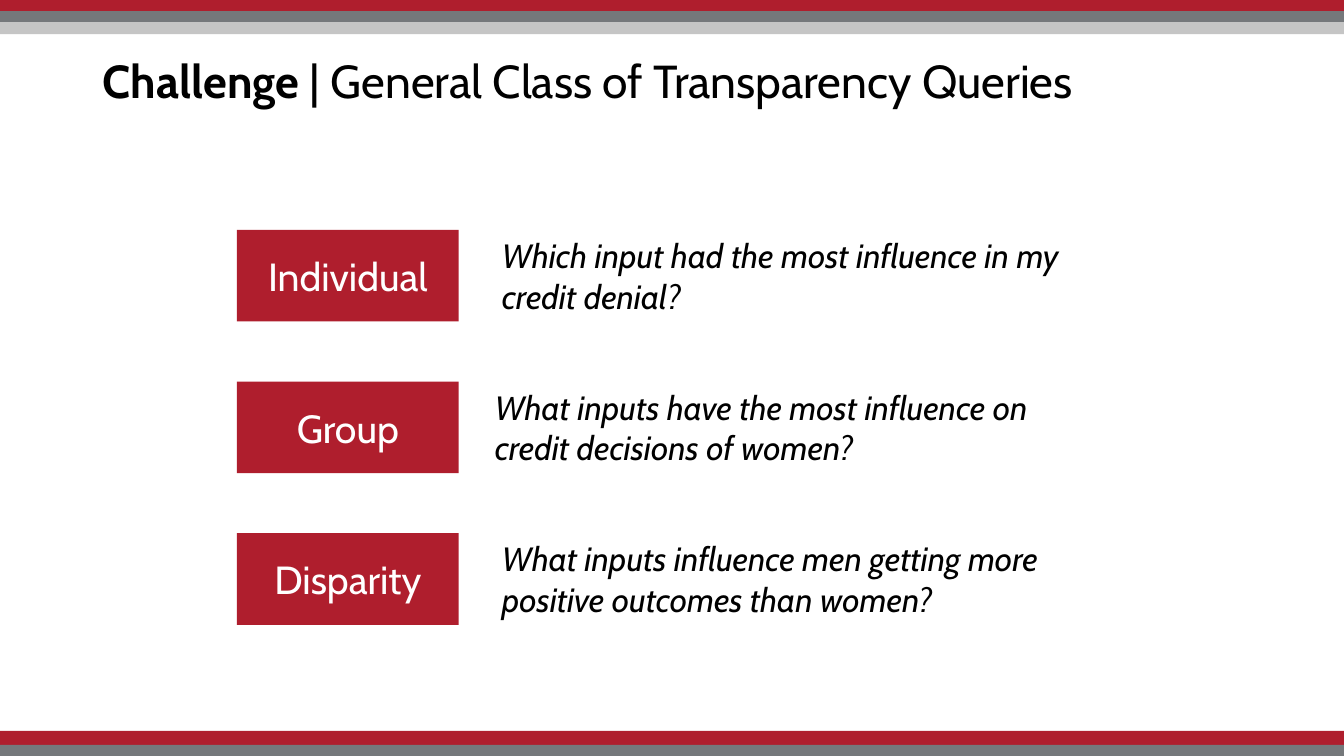
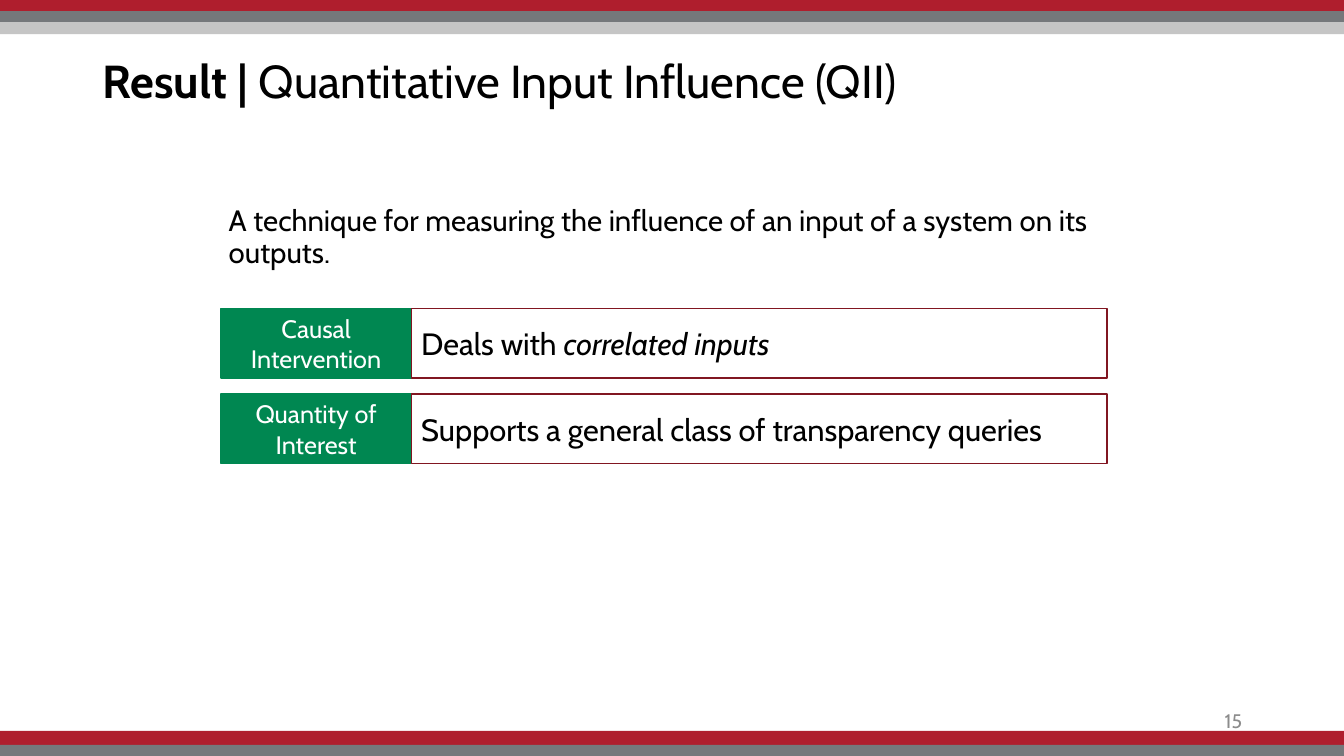
from pptx import Presentation
from pptx.dml.color import RGBColor
from pptx.enum.shapes import MSO_SHAPE
from pptx.enum.text import MSO_ANCHOR, PP_ALIGN
from pptx.util import Inches, Pt

RECTANGLE = MSO_SHAPE.RECTANGLE
TOP, MIDDLE = MSO_ANCHOR.TOP, MSO_ANCHOR.MIDDLE
LEFT, CENTER, RIGHT = PP_ALIGN.LEFT, PP_ALIGN.CENTER, PP_ALIGN.RIGHT

RED = RGBColor(0xAF, 0x1E, 0x2D)
DARK_RED = RGBColor(0x81, 0x16, 0x21)
GREEN = RGBColor(0x00, 0x87, 0x51)
GRAY = RGBColor(0x75, 0x78, 0x7B)
LIGHT_GRAY = RGBColor(0xC5, 0xC5, 0xC5)
NUMBER_GRAY = RGBColor(0x8C, 0x8C, 0x8C)
BLACK = RGBColor(0, 0, 0)
WHITE = RGBColor(0xFF, 0xFF, 0xFF)

FONT = "Cabin"
SLIDE_WIDTH, SLIDE_HEIGHT = 13.33, 7.5

BANDS = [
    (0, 0.11, RED),
    (0.11, 0.11, GRAY),
    (0.22, 0.12, LIGHT_GRAY),
    (7.25, 0.15, RED),
    (7.39, 0.11, GRAY),
]

QUERIES = [
    ("Individual", "Which input had the most influence in my credit denial?", 4.88, MIDDLE),
    ("Group", "What inputs have the most influence on credit decisions of women?", 4.81, TOP),
    ("Disparity", "What inputs influence men getting more positive outcomes than women?", 4.88, TOP),
]

FEATURES = [
    ("Causal Intervention", "Deals with ", "correlated inputs"),
    ("Quantity of Interest", "Supports a general class of transparency queries", ""),
]


def write(shape, text, size, color=BLACK, align=LEFT, anchor=MIDDLE, italic=None):
    frame = shape.text_frame
    frame.word_wrap = True
    frame.vertical_anchor = anchor
    paragraph = frame.paragraphs[0]
    paragraph.alignment = align
    font = paragraph.font
    font.name = FONT
    font.size = Pt(size)
    font.color.rgb = color
    font.italic = italic
    if text:
        paragraph.add_run().text = text
    return paragraph


def add_text(slide, box, text, size, **style):
    textbox = slide.shapes.add_textbox(*map(Inches, box))
    return write(textbox, text, size, **style)


def add_box(slide, box, fill, line=None):
    rectangle = slide.shapes.add_shape(RECTANGLE, *map(Inches, box))
    rectangle.shadow.inherit = False
    rectangle.fill.solid()
    rectangle.fill.fore_color.rgb = fill
    if line is None:
        rectangle.line.fill.background()
    else:
        rectangle.line.color.rgb = line
        rectangle.line.width = Pt(1)
    return rectangle


def add_titled_slide(deck, bold_part, plain_part):
    slide = deck.slides.add_slide(deck.slide_layouts[6])
    for top, height, color in BANDS:
        add_box(slide, (0, top, SLIDE_WIDTH, height), color)
    title = add_text(slide, (0.92, 0.1, 11.5, 1.45), bold_part, 33)
    title.line_spacing = 0.9
    title.runs[0].font.bold = True
    title.add_run().text = plain_part
    return slide


def add_query(slide, top, label, question, question_left, anchor):
    height = 0.91
    label_box = add_box(slide, (2.35, top, 2.2, height), RED)
    write(label_box, label, 28, color=WHITE, align=CENTER)
    add_text(slide, (question_left, top, 6.1, height), question, 24,
             anchor=anchor, italic=True)


def add_feature(slide, top, label, description, emphasis):
    left, label_width, height = 2.19, 1.89, 0.69
    label_box = add_box(slide, (left, top, label_width, height), GREEN, GREEN)
    write(label_box, label, 18, color=WHITE, align=CENTER)
    description_box = add_box(slide, (left + label_width, top, 6.9, height), WHITE, DARK_RED)
    paragraph = write(description_box, description, 22)
    if emphasis:
        emphasized = paragraph.add_run()
        emphasized.text = emphasis
        emphasized.font.italic = True


def build_challenge(deck):
    slide = add_titled_slide(deck, "Challenge", " | General Class of Transparency Queries")
    for row, query in enumerate(QUERIES):
        add_query(slide, 2.28 + 1.505 * row, *query)


def build_result(deck):
    slide = add_titled_slide(deck, "Result |", " Quantitative Input Influence (QII)")
    add_text(slide, (9.42, 6.95, 3, 0.4), "15", 14, color=NUMBER_GRAY, align=RIGHT)
    summary = add_text(
        slide, (2.17, 2, 8.81, 0.9),
        "A technique for measuring the influence of an input of a system on its outputs.",
        21, anchor=TOP)
    summary.line_spacing = 0.9
    summary.space_before = Pt(7.5)
    for row, feature in enumerate(FEATURES):
        add_feature(slide, 3.06 + 0.85 * row, *feature)


def main():
    deck = Presentation()
    deck.slide_width = Inches(SLIDE_WIDTH)
    deck.slide_height = Inches(SLIDE_HEIGHT)
    build_challenge(deck)
    build_result(deck)
    deck.save("out.pptx")


if __name__ == "__main__":
    main()
